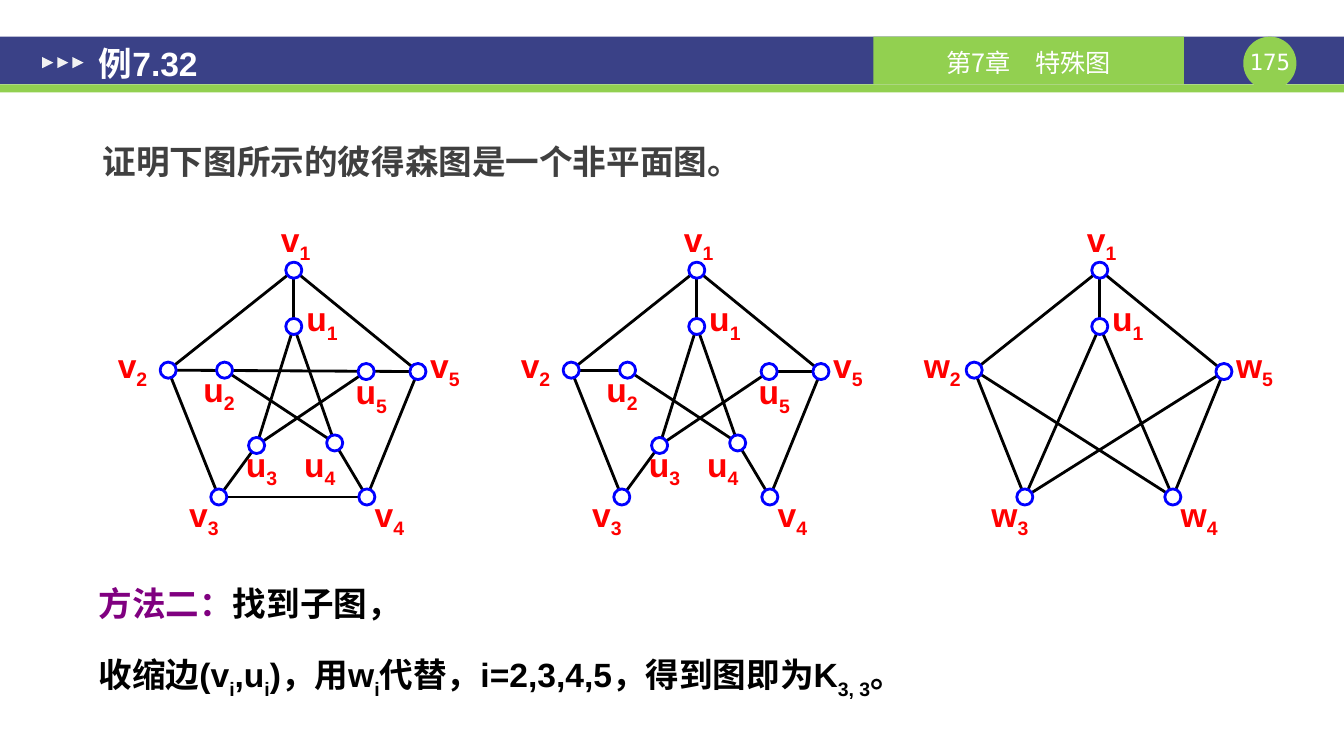
from dataclasses import dataclass
from math import hypot

from lxml.etree import SubElement
from pptx import Presentation
from pptx.dml.color import RGBColor
from pptx.enum.lang import MSO_LANGUAGE_ID
from pptx.enum.shapes import MSO_CONNECTOR, MSO_SHAPE
from pptx.enum.text import MSO_ANCHOR, PP_ALIGN
from pptx.oxml.ns import qn
from pptx.shapes.autoshape import Shape
from pptx.shapes.shapetree import GroupShapes, SlideShapes
from pptx.text.text import TextFrame
from pptx.util import Pt

NAVY = RGBColor(0x3A, 0x41, 0x87)
GREEN = RGBColor(0x92, 0xD0, 0x50)
WHITE = RGBColor(0xFF, 0xFF, 0xFF)
PALE = RGBColor(0xF2, 0xF2, 0xF2)
BLACK = RGBColor(0x00, 0x00, 0x00)
GRAY = RGBColor(0x40, 0x40, 0x40)
PURPLE = RGBColor(0x80, 0x00, 0x80)
RED = RGBColor(0xFF, 0x00, 0x00)
BLUE = RGBColor(0x00, 0x00, 0xFF)

GRAPH_STEP = 288
DOT_SIZE = 11.5
EDGE_TRIM = 3
LABEL_SIZE = (33.8, 28.8)

Box = tuple[float, float, float, float]
Shapes = SlideShapes | GroupShapes


@dataclass(frozen=True)
class Piece:
    """A stretch of text with its colour and position on the line."""
    text: str
    color: RGBColor = BLACK
    subscript: bool = False


@dataclass(frozen=True)
class Vertex:
    """The centre of a dot and the place of its label."""
    x: float
    y: float
    label_left: float
    label_top: float
    align: PP_ALIGN = PP_ALIGN.JUSTIFY


@dataclass(frozen=True)
class Graph:
    """The vertices and edges of one drawing."""
    vertices: str
    edges: str
    outer_letter: str = "v"


VERTICES = {
    "v1": Vertex(210, 193, 194.4, 156.2, PP_ALIGN.CENTER),
    "v2": Vertex(120.2, 264.4, 84.2, 246.2),
    "v3": Vertex(156.4, 355, 128.9, 352.8, PP_ALIGN.CENTER),
    "v4": Vertex(262.2, 355, 267.8, 352.8),
    "v5": Vertex(298.7, 265.4, 307.4, 246.2),
    "u1": Vertex(210, 233.2, 218.9, 213.1),
    "u2": Vertex(160.5, 264.4, 145.4, 263.5),
    "u3": Vertex(183.4, 318.2, 175.7, 316.8),
    "u4": Vertex(239.2, 316.4, 217.4, 316.8),
    "u5": Vertex(261.7, 265.4, 254.2, 265),
}
RIM = "v1-v2 v2-v3 v4-v5 v1-v5 v1-u1"
STAR = "u1-u3 u1-u4 u5-u3 u2-u4 u3-v3 u4-v4"
GRAPHS = (
    Graph(" ".join(VERTICES), f"{RIM} {STAR} v3-v4 v2-v5"),
    Graph(" ".join(VERTICES), f"{RIM} {STAR} v2-u2 u5-v5"),
    Graph("v1 v2 v3 v4 v5 u1", f"{RIM} u1-v3 u1-v4 v5-v3 v2-v4", "w"),
)
METHOD = (
    (Piece("方法二：", PURPLE), Piece("找到子图，")),
    (Piece("收缩边(v"), Piece("i", subscript=True), Piece(",u"), Piece("i", subscript=True),
     Piece(")，用w"), Piece("i", subscript=True), Piece("代替，i=2,3,4,5，得到图即为K"),
     Piece("3, 3", subscript=True), Piece("。")),
)


def write_text(frame: TextFrame, paragraphs: tuple[tuple[Piece, ...], ...], *, size: float = 24,
               font: str = "Arial", bold: bool = True, align: PP_ALIGN = PP_ALIGN.LEFT,
               anchor: MSO_ANCHOR = MSO_ANCHOR.TOP, margins: Box = (0, 0, 0, 0),
               line_spacing: float = 1, space_before: float = 0) -> None:
    """Fill a text frame with formatted paragraphs."""
    frame.word_wrap = True
    frame.vertical_anchor = anchor
    frame.margin_left, frame.margin_top, frame.margin_right, frame.margin_bottom = map(Pt, margins)
    for index, pieces in enumerate(paragraphs):
        paragraph = frame.add_paragraph() if index else frame.paragraphs[0]
        paragraph.alignment = align
        paragraph.line_spacing = line_spacing
        if index:
            paragraph.space_before = Pt(space_before)
        for piece in pieces:
            run = paragraph.add_run()
            run.text = piece.text
            run.font.size = Pt(size)
            run.font.name = font
            run.font.bold = bold
            run.font.color.rgb = piece.color
            run.font.language_id = MSO_LANGUAGE_ID.SIMPLIFIED_CHINESE
            if piece.subscript:
                run._r.get_or_add_rPr().set("baseline", "-25000")


def add_text_frame(shapes: Shapes, box: Box) -> TextFrame:
    """Add a text box and return its frame."""
    return shapes.add_textbox(*map(Pt, box)).text_frame


def add_filled(shapes: Shapes, kind: MSO_SHAPE, box: Box, fill: RGBColor,
               outline: RGBColor | None = None) -> Shape:
    """Add a flat preset shape, outlined only when a colour is given."""
    shape = shapes.add_shape(kind, *map(Pt, box))
    shape.shadow.inherit = False
    shape.fill.solid()
    shape.fill.fore_color.rgb = fill
    if outline is None:
        shape.line.fill.background()
    else:
        shape.line.color.rgb = outline
        shape.line.width = Pt(2)
    return shape


def add_edge(shapes: Shapes, start: Vertex, end: Vertex, shift: float) -> None:
    """Draw an edge that stops inside both dots."""
    length = hypot(end.x - start.x, end.y - start.y)
    trim_x = EDGE_TRIM * (end.x - start.x) / length
    trim_y = EDGE_TRIM * (end.y - start.y) / length
    connector = shapes.add_connector(
        MSO_CONNECTOR.STRAIGHT, Pt(start.x + trim_x + shift), Pt(start.y + trim_y),
        Pt(end.x - trim_x + shift), Pt(end.y - trim_y))
    connector.line.color.rgb = BLACK
    connector.line.width = Pt(2)
    SubElement(connector._element.spPr, qn("a:effectLst"))


def add_graph(slide_shapes: SlideShapes, graph: Graph, shift: float) -> None:
    """Draw the edges, labels and dots of a graph as one group."""
    shapes = slide_shapes.add_group_shape().shapes
    for edge in graph.edges.split():
        start, end = edge.split("-")
        add_edge(shapes, VERTICES[start], VERTICES[end], shift)
    names = graph.vertices.split()
    for name in names:
        vertex = VERTICES[name]
        letter, number = name
        if letter == "v" and number != "1":
            letter = graph.outer_letter
        frame = add_text_frame(shapes, (vertex.label_left + shift, vertex.label_top, *LABEL_SIZE))
        write_text(frame, ((Piece(letter, RED), Piece(number, RED, True)),), align=vertex.align)
    for name in names:
        vertex = VERTICES[name]
        left, top = vertex.x - DOT_SIZE / 2 + shift, vertex.y - DOT_SIZE / 2
        add_filled(shapes, MSO_SHAPE.OVAL, (left, top, DOT_SIZE, DOT_SIZE), WHITE, BLUE)


def add_header(shapes: SlideShapes) -> None:
    """Draw the header band with title, chapter and page number."""
    add_filled(shapes, MSO_SHAPE.RECTANGLE, (0, 26.2, 960.5, 34), NAVY)
    add_filled(shapes, MSO_SHAPE.RECTANGLE, (0, 60.2, 960.5, 5.8), GREEN)
    add_filled(shapes, MSO_SHAPE.OVAL, (888.5, 26.2, 38, 38), GREEN)
    write_text(add_text_frame(shapes, (888.5, 34.6, 38, 19.4)), ((Piece("175", WHITE),),),
               size=16, font="DejaVu Sans Mono", bold=False, align=PP_ALIGN.CENTER)
    chapter = add_filled(shapes, MSO_SHAPE.RECTANGLE, (624.2, 26.2, 221.8, 34), GREEN)
    write_text(chapter.text_frame, ((Piece("第7章　特殊图", WHITE),),), size=18,
               font="Noto Sans CJK SC", bold=False, align=PP_ALIGN.CENTER,
               anchor=MSO_ANCHOR.MIDDLE, margins=(7.2, 2.9, 7.2, 0))
    for index in range(3):
        arrow = add_filled(shapes, MSO_SHAPE.ISOSCELES_TRIANGLE,
                           (30.2 + 10.8 * index, 40.8, 7.9, 7.9), PALE)
        arrow.rotation = 90
    write_text(add_text_frame(shapes, (61.2, 28.1, 419.8, 33.8)), ((Piece("例7.32", WHITE),),),
               anchor=MSO_ANCHOR.MIDDLE, margins=(9.4, 5, 9.4, 5))


def main() -> None:
    """Build the slide and save it."""
    presentation = Presentation()
    presentation.slide_width, presentation.slide_height = Pt(960.5), Pt(540)
    slide = presentation.slides.add_slide(presentation.slide_layouts[6])
    add_header(slide.shapes)
    write_text(add_text_frame(slide.shapes, (64.1, 90, 846.7, 64.1)),
               ((Piece("证明下图所示的彼得森图是一个非平面图。", GRAY),),),
               margins=(9.4, 5, 9.4, 5), line_spacing=1.2)
    write_text(add_text_frame(slide.shapes, (63.4, 398.2, 869.8, 100.8)), METHOD,
               align=PP_ALIGN.JUSTIFY, margins=(7.2, 3.6, 7.2, 3.6),
               line_spacing=1.5, space_before=6)
    for index, graph in enumerate(GRAPHS):
        add_graph(slide.shapes, graph, GRAPH_STEP * index)
    presentation.save("out.pptx")


if __name__ == "__main__":
    main()
